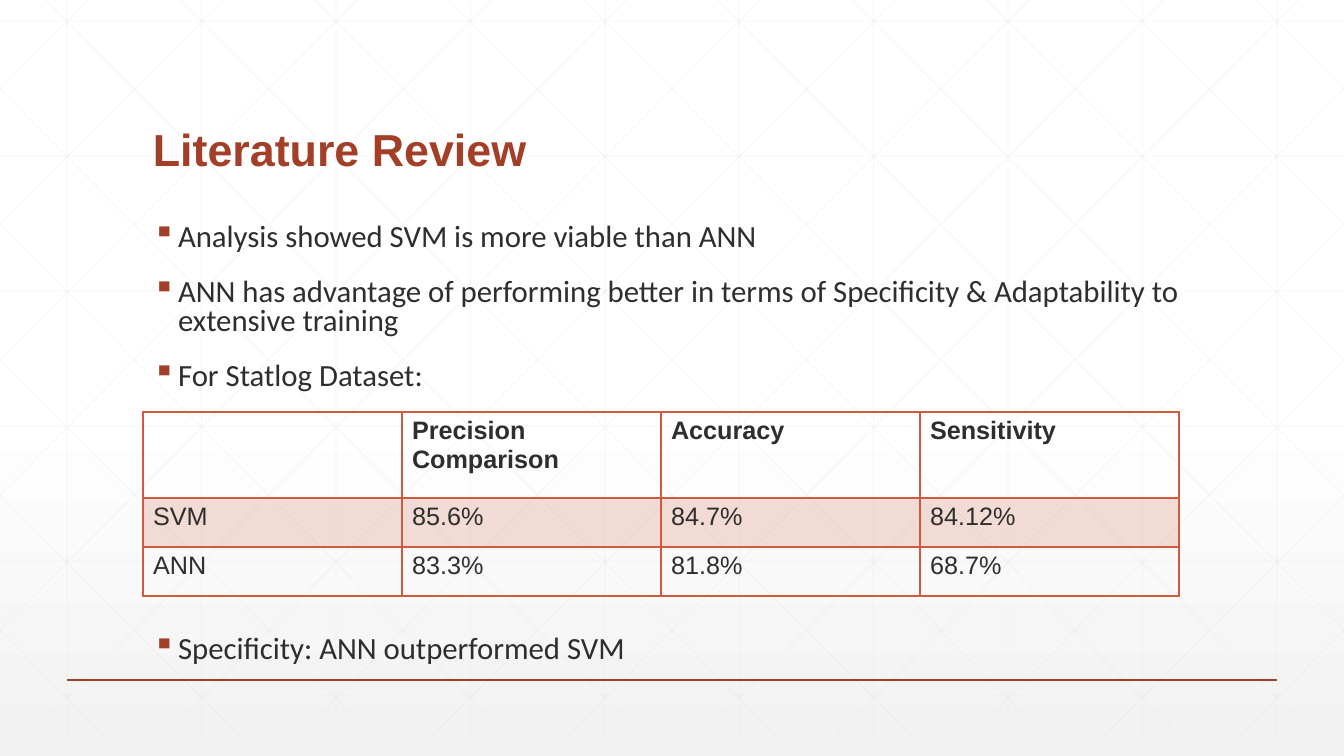
from lxml.etree import SubElement
from pptx import Presentation
from pptx.dml.color import RGBColor
from pptx.enum.shapes import MSO_CONNECTOR
from pptx.enum.text import MSO_ANCHOR
from pptx.oxml import parse_xml
from pptx.oxml.ns import nsdecls, qn
from pptx.util import Pt

TITLE = "Literature Review"
FINDINGS = [
    "Analysis showed SVM is more viable than ANN",
    "ANN has advantage of performing better in terms of Specificity & Adaptability to extensive training",
    "For Statlog Dataset:",
]
CONCLUSION = ["Specificity: ANN outperformed SVM"]
SCORES = [
    ("", "Precision Comparison", "Accuracy", "Sensitivity"),
    ("SVM", "85.6%", "84.7%", "84.12%"),
    ("ANN", "83.3%", "81.8%", "68.7%"),
]
ROW_HEIGHTS = [86, 49, 49]
COLUMN_WIDTH = 259
BACKGROUND_STOPS = [(0, "FFFFFF", 100), (53, "FFFFFF", 100), (100, "F2F2F2", 65)]
RUST, ORANGE, INK, GRID = "A43F27", "D15A3E", "2D2E2D", "D9D9D9"

WIDTH, HEIGHT = 1344, 756
GRID_TOP, GRID_BOTTOM = -21, 735
DIAGONAL_START, DIAGONAL_RUN = 25, 751
GRID_STEP = WIDTH / 10


def px(length):
    return round(length * 914400 / 100.8)


def color(hex_code):
    return RGBColor.from_string(hex_code)


def add_alpha(element, percent):
    for srgb in element.iter(qn("a:srgbClr")):
        SubElement(srgb, qn("a:alpha"), val=str(percent * 1000))


def add_line(x1, y1, x2, y2, hex_code, points, opacity=100):
    line = page.shapes.add_connector(MSO_CONNECTOR.STRAIGHT, px(x1), px(y1), px(x2), px(y2))
    line.line.color.rgb = color(hex_code)
    line.line.width = Pt(points)
    properties = line._element.spPr
    if opacity < 100:
        add_alpha(properties, opacity)
    SubElement(properties, qn("a:effectLst"))


def add_box(left, top, width, height, lines):
    box = page.shapes.add_textbox(px(left), px(top), px(width), px(height))
    frame = box.text_frame
    frame.word_wrap = True
    frame.text = "\n".join(lines)
    return frame


def style(para, font, size, hex_code, bold=False):
    para.font.name = font
    para.font.size = Pt(size)
    para.font.bold = bold
    para.font.color.rgb = color(hex_code)


def add_bullets(top, height, lines):
    for para in add_box(143, top, 1058, height, lines).paragraphs:
        style(para, "Calibri", 22, INK)
        para.line_spacing = 0.8
        para.space_before = Pt(18)
        properties = para._p.get_or_add_pPr()
        properties.set("marL", "228600")
        properties.set("indent", "-228600")
        bullet_color = parse_xml(f'<a:buClr {nsdecls("a")}><a:srgbClr val="{RUST}"/></a:buClr>')
        bullet = parse_xml(f'<a:buChar {nsdecls("a")} char="▪"/>')
        position = list(properties).index(properties.find(qn("a:defRPr")))
        properties.insert(position, bullet_color)
        properties.insert(position + 1, bullet)


def add_borders(cell, bottom_points):
    widths = {"lnL": 1, "lnR": 1, "lnT": 1, "lnB": bottom_points}
    for position, (side, points) in enumerate(widths.items()):
        border = parse_xml(
            f'<a:{side} {nsdecls("a")} w="{Pt(points)}"><a:solidFill>'
            f'<a:srgbClr val="{ORANGE}"/></a:solidFill></a:{side}>'
        )
        cell._tc.get_or_add_tcPr().insert(position, border)


def paint_background():
    fill = page.background.fill
    fill.gradient()
    fill.gradient_angle = 270
    stops = page._element.find(".//" + qn("a:gsLst"))
    for stop in list(stops):
        stops.remove(stop)
    for position, hex_code, opacity in BACKGROUND_STOPS:
        stop = SubElement(stops, qn("a:gs"), pos=str(position * 1000))
        SubElement(stop, qn("a:srgbClr"), val=hex_code)
        if opacity < 100:
            add_alpha(stop, opacity)


def draw_grid():
    look = (GRID, 0.5, 25)
    for column in range(10):
        x = GRID_STEP * (column + 0.5)
        add_line(x, GRID_TOP, x, GRID_BOTTOM, *look)
    for row in range(6):
        y = 21 + 135 * row
        add_line(0, y, WIDTH, y, *look)
    slope = (GRID_BOTTOM - GRID_TOP) / DIAGONAL_RUN
    for step in range(-5, 10):
        start = DIAGONAL_START + GRID_STEP * step
        x1, x2 = max(start, 0), min(start + DIAGONAL_RUN, WIDTH)
        y1, y2 = (GRID_TOP + (x - start) * slope for x in (x1, x2))
        add_line(x1, y1, x2, y2, *look)
        add_line(WIDTH - x1, y1, WIDTH - x2, y2, *look)


def draw_scores():
    columns = len(SCORES[0])
    frame = page.shapes.add_table(
        len(SCORES), columns, px(143), px(412), px(COLUMN_WIDTH * columns), px(sum(ROW_HEIGHTS))
    )
    table = frame.table
    for column in table.columns:
        column.width = px(COLUMN_WIDTH)
    for index, values in enumerate(SCORES):
        table.rows[index].height = px(ROW_HEIGHTS[index])
        for column, value in enumerate(values):
            cell = table.cell(index, column)
            cell.text = value
            style(cell.text_frame.paragraphs[0], "Arial", 18, INK, bold=index == 0)
            if index == 1:
                cell.fill.solid()
                cell.fill.fore_color.rgb = color(ORANGE)
                add_alpha(cell._tc.tcPr, 20)
            else:
                cell.fill.background()
            add_borders(cell, 2 if index == 0 else 1)


deck = Presentation()
deck.slide_width, deck.slide_height = px(WIDTH), px(HEIGHT)
page = deck.slides.add_slide(deck.slide_layouts[6])

paint_background()
draw_grid()
add_line(67, 680, 1277, 680, RUST, 1)

title = add_box(143, 55, 1058, 126, [TITLE])
title.vertical_anchor = MSO_ANCHOR.BOTTOM
title.paragraphs[0].line_spacing = 0.9
style(title.paragraphs[0], "Arial", 32, RUST, bold=True)

add_bullets(219, 190, FINDINGS)
add_bullets(631, 41, CONCLUSION)
draw_scores()

deck.save("out.pptx")
